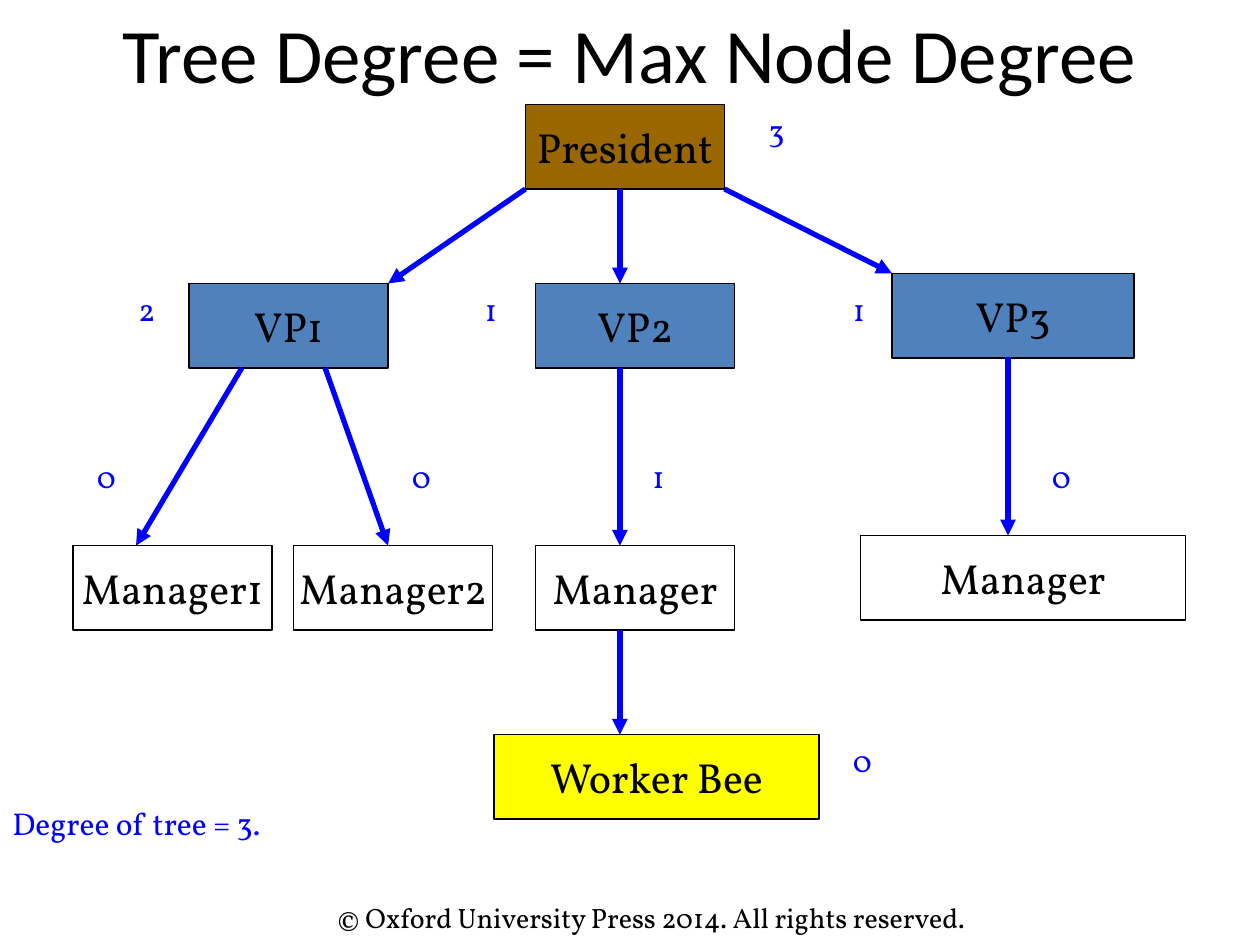
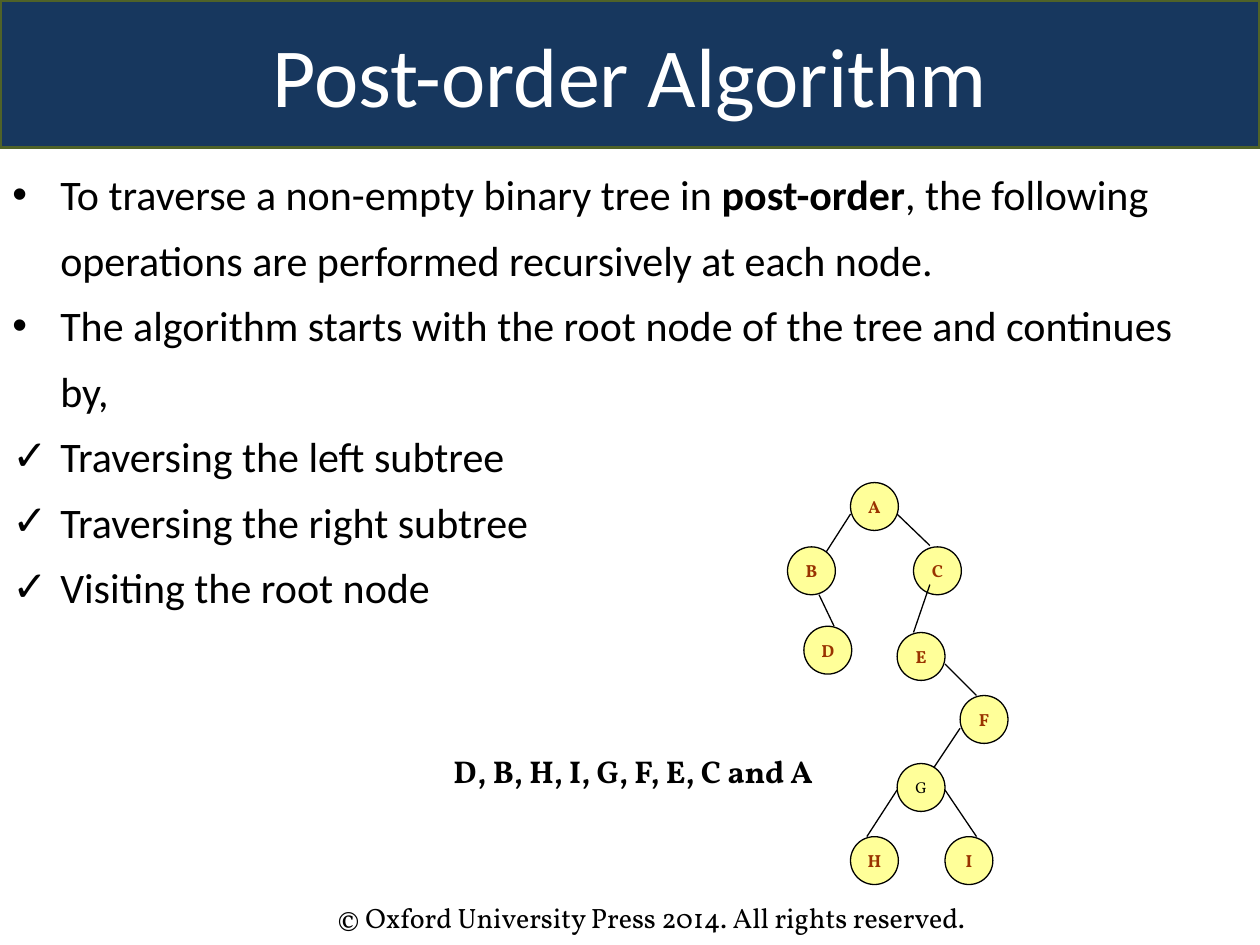
from lxml import etree
from pptx import Presentation
from pptx.dml.color import RGBColor
from pptx.enum.shapes import MSO_CONNECTOR as Link, MSO_SHAPE as Shape
from pptx.enum.text import MSO_ANCHOR as Anchor, PP_ALIGN as Align
from pptx.oxml.ns import qn
from pptx.util import Inches, Pt

SANS, SERIF = "Calibri", "Vollkorn"
BLACK, WHITE, BLUE = "000000", "FFFFFF", "0000FF"
VP_BLUE, BROWN, YELLOW = "4F81BD", "996600", "FFFF00"
NAVY, OLIVE, CREAM, RUST = "17375E", "4F6228", "FFFF99", "993300"
BOX_W, WIDE_W, BOX_H = 1.58, 2.58, 0.67
NODE_SIZE = 0.38
FOOTER = "© Oxford University Press 2014. All rights reserved."


def paint(color_format, hex_color):
    color_format.rgb = RGBColor.from_string(hex_color)


def write(paragraph, text, size=18, font=SERIF, color=BLACK, bold=False, align=None):
    if align is not None:
        paragraph.alignment = align
    run = paragraph.add_run()
    run.text = text
    run.font.size = Pt(size)
    run.font.name = font
    run.font.bold = bold
    paint(run.font.color, color)


def text_box(slide, left, top, width, height, anchor=Anchor.TOP, wrap=True):
    frame = slide.shapes.add_textbox(*map(Inches, (left, top, width, height))).text_frame
    frame.word_wrap = wrap
    frame.vertical_anchor = anchor
    return frame


def label(slide, text, left, top, width, height, anchor=Anchor.TOP, wrap=True, **style):
    frame = text_box(slide, left, top, width, height, anchor, wrap)
    write(frame.paragraphs[0], text, **style)


def filled_shape(slide, kind, text, left, top, width, height, fill,
                 line=BLACK, line_width=1, wrap=False, inset=0.1, **style):
    shape = slide.shapes.add_shape(kind, *map(Inches, (left, top, width, height)))
    shape.shadow.inherit = False
    shape.fill.solid()
    paint(shape.fill.fore_color, fill)
    paint(shape.line.color, line)
    shape.line.width = Pt(line_width)
    frame = shape.text_frame
    frame.word_wrap = wrap
    frame.vertical_anchor = Anchor.MIDDLE
    frame.margin_left = frame.margin_right = Inches(inset)
    write(frame.paragraphs[0], text, align=Align.CENTER, **style)


def edge(slide, x1, y1, x2, y2, color=BLACK, width=0.75, arrow=False):
    line = slide.shapes.add_connector(Link.STRAIGHT, *map(Inches, (x1, y1, x2, y2)))
    paint(line.line.color, color)
    line.line.width = Pt(width)
    properties = line._element.spPr
    if arrow:
        etree.SubElement(properties.find(qn("a:ln")), qn("a:tailEnd"), type="triangle")
    etree.SubElement(properties, qn("a:effectLst"))


def bullet_item(paragraph, mark, pieces):
    paragraph.line_spacing = 1.3
    properties = paragraph._p.get_or_add_pPr()
    properties.set("marL", str(Inches(0.38)))
    properties.set("indent", str(-Inches(0.38)))
    etree.SubElement(properties, qn("a:buFont"), typeface="Arial")
    etree.SubElement(properties, qn("a:buChar"), char=mark)
    for text, bold in pieces:
        write(paragraph, text, size=24, font=SANS, bold=bold)


def new_slide(deck):
    slide = deck.slides.add_slide(deck.slide_layouts[6])
    label(slide, FOOTER, 2.58, 7.1, 5.92, 0.37, size=16)
    return slide


def tree_degree_slide(deck):
    slide = new_slide(deck)
    label(slide, "Tree Degree = Max Node Degree", 0, 0, 10, 0.83,
          anchor=Anchor.MIDDLE, size=44, font=SANS, align=Align.CENTER)
    label(slide, "Degree of tree = 3.", 0, 6.33, 3.92, 0.63, color=BLUE)

    staff = [
        ("President", 4.17, 0.83, BOX_W, BROWN),
        ("VP1", 1.5, 2.25, BOX_W, VP_BLUE),
        ("VP2", 4.25, 2.25, BOX_W, VP_BLUE),
        ("VP3", 7.08, 2.17, 1.92, VP_BLUE),
        ("Manager1", 0.58, 4.33, BOX_W, WHITE),
        ("Manager2", 2.33, 4.33, BOX_W, WHITE),
        ("Manager", 4.25, 4.33, BOX_W, WHITE),
        ("Manager", 6.83, 4.25, WIDE_W, WHITE),
        ("Worker Bee", 3.92, 5.83, WIDE_W, YELLOW),
    ]
    for role, left, top, width, fill in staff:
        filled_shape(slide, Shape.RECTANGLE, role, left, top, width, BOX_H, fill, size=24)

    reports = [
        (4.92, 1.5, 4.92, 2.25), (4.17, 1.5, 3.08, 2.25), (5.75, 1.5, 7.08, 2.17),
        (1.92, 2.92, 1.08, 4.33), (2.58, 2.92, 3.08, 4.33), (4.92, 2.92, 4.92, 4.33),
        (8, 2.83, 8, 4.25), (4.92, 5, 4.92, 5.83),
    ]
    for ends in reports:
        edge(slide, *ends, color=BLUE, width=3, arrow=True)

    degrees = [
        ("3", 6, 0.83), ("2", 1, 2.25), ("1", 3.75, 2.25), ("1", 6.67, 2.25),
        ("0", 0.67, 3.58), ("0", 3.17, 3.58), ("1", 5.08, 3.58), ("0", 8.25, 3.58),
        ("0", 6.67, 5.83),
    ]
    for degree, left, top in degrees:
        label(slide, degree, left, top, 0.5, 0.63, color=BLUE)


def binary_tree(slide):
    branches = [
        (6.75, 4.08, 6.5, 4.47), (7.12, 4.08, 7.38, 4.33), (6.5, 4.72, 6.62, 4.97),
        (7.5, 5.27, 7.75, 5.52), (7.62, 5.78, 7.38, 6.14),
        (7.12, 6.27, 6.88, 6.64), (7.5, 6.27, 7.75, 6.64),
    ]
    for ends in branches:
        edge(slide, *ends)

    nodes = {
        "A": (6.75, 3.83), "B": (6.25, 4.34), "C": (7.25, 4.34),
        "D": (6.38, 4.97), "E": (7.12, 5.02), "F": (7.62, 5.52),
        "G": (7.12, 6.06), "H": (6.75, 6.64), "I": (7.5, 6.64),
    }
    bold_rust = dict(size=10, color=RUST, bold=True)
    plain = dict(size=9)
    for name, (left, top) in nodes.items():
        style = plain if name == "G" else bold_rust
        filled_shape(slide, Shape.OVAL, name, left, top, NODE_SIZE, NODE_SIZE, CREAM,
                     line_width=0.75, inset=0, **style)
    edge(slide, 7.38, 4.64, 7.25, 5.02)


def post_order_slide(deck):
    slide = new_slide(deck)
    filled_shape(slide, Shape.RECTANGLE, "Post-order Algorithm", 0, 0, 10, 1.17, NAVY,
                 line=OLIVE, line_width=2, wrap=True, size=48, font=SANS, color=WHITE)
    binary_tree(slide)
    label(slide, "D, B, H, I, G, F, E, C and A", 3.5, 5.92, 3.15, 0.4,
          anchor=Anchor.MIDDLE, wrap=False, bold=True, align=Align.JUSTIFY)

    steps = [
        ("•", [("To traverse a non-empty binary tree in ", False), ("post-order", True),
               (", the following operations are performed recursively at each node.", False)]),
        ("•", [("The algorithm starts with the root node of the tree and continues by,", False)]),
        ("✓", [("Traversing the left subtree", False)]),
        ("✓", [("Traversing the right subtree", False)]),
        ("✓", [("Visiting the root node", False)]),
    ]
    body = text_box(slide, 0, 1.17, 9.58, 3.73)
    for number, (mark, pieces) in enumerate(steps):
        paragraph = body.add_paragraph() if number else body.paragraphs[0]
        bullet_item(paragraph, mark, pieces)


def main():
    deck = Presentation()
    deck.slide_width, deck.slide_height = Inches(10), Inches(7.5)
    tree_degree_slide(deck)
    post_order_slide(deck)
    deck.save("out.pptx")


if __name__ == "__main__":
    main()
